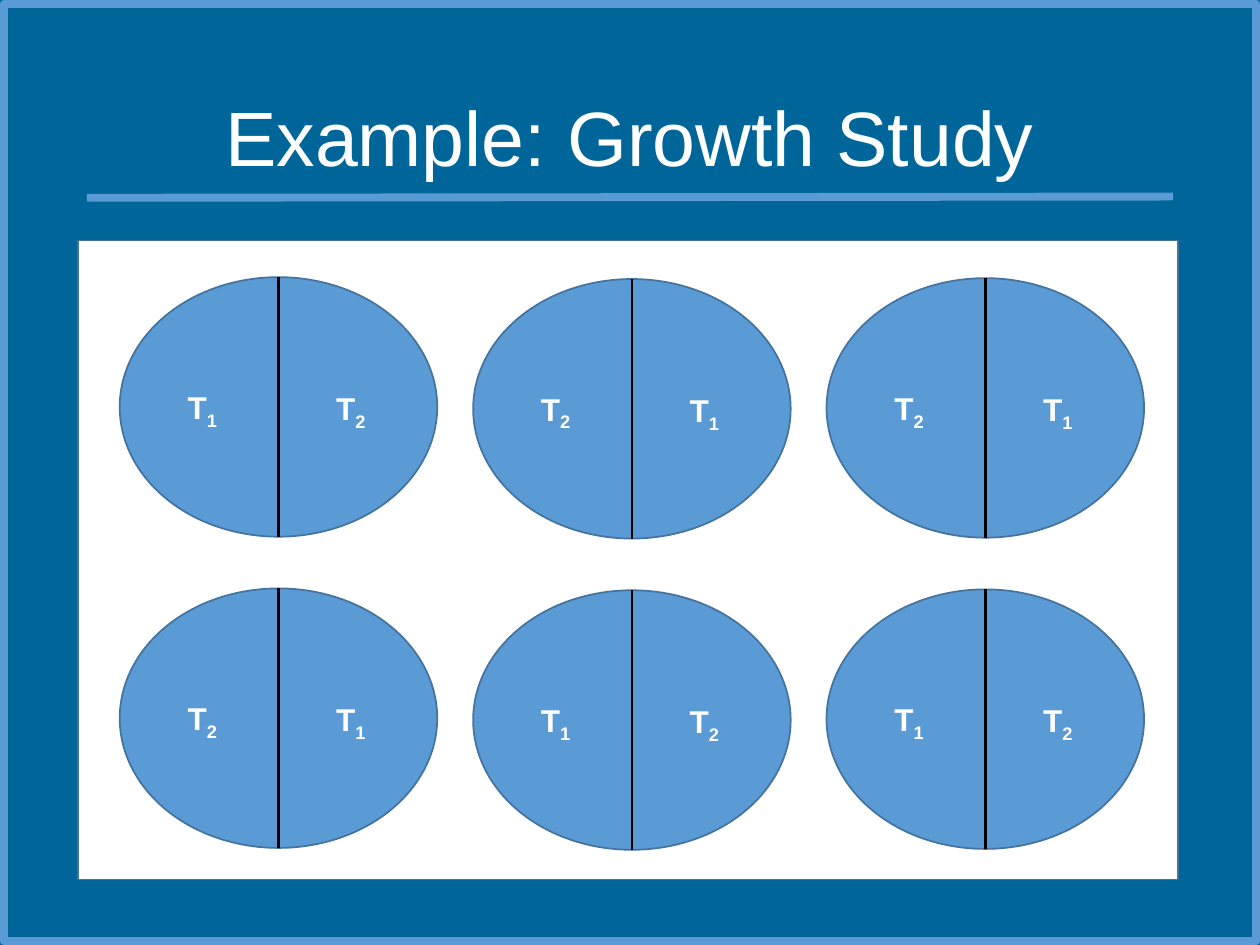
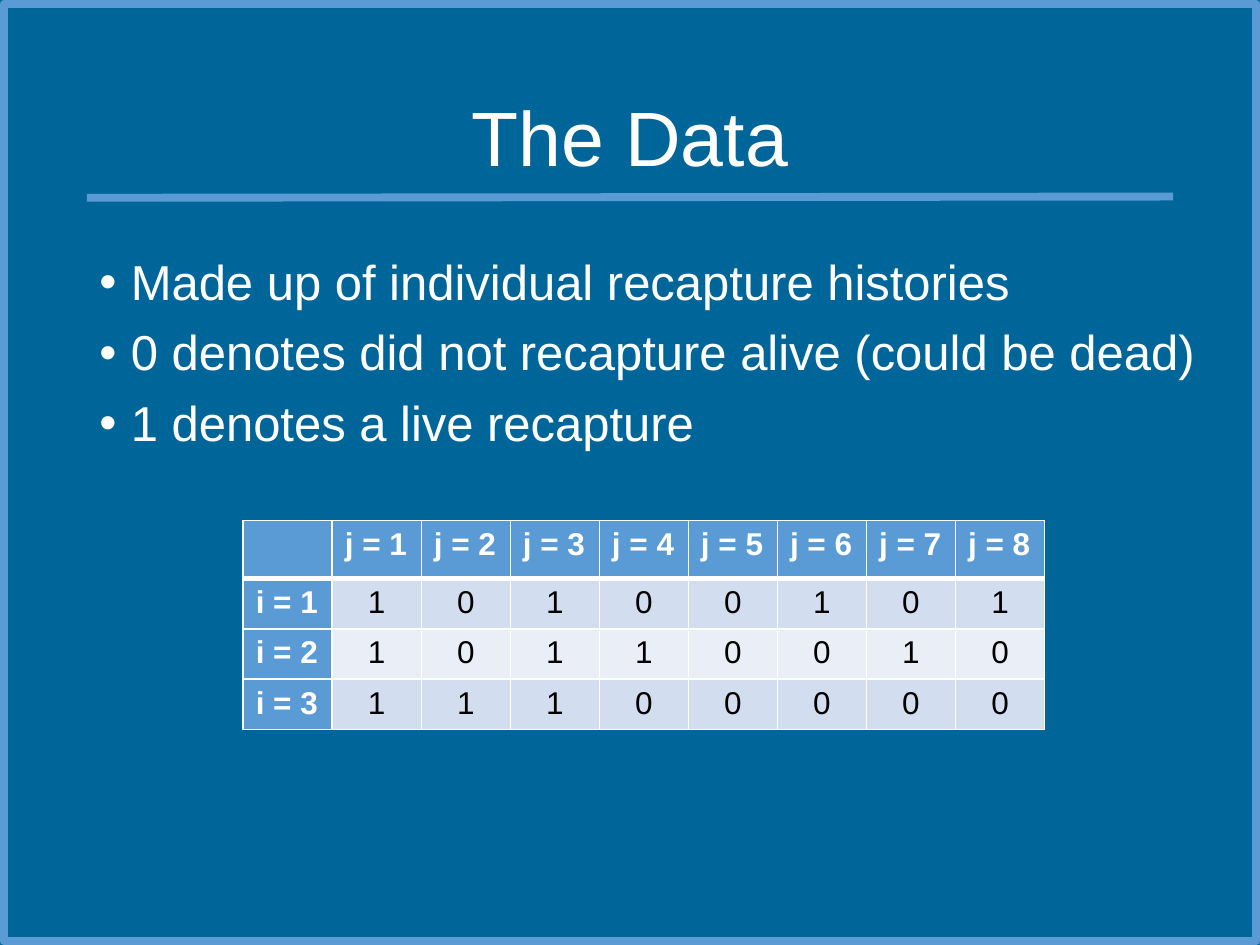
from dataclasses import dataclass

from lxml.etree import SubElement
from pptx import Presentation
from pptx.dml.color import RGBColor
from pptx.enum.shapes import MSO_CONNECTOR, MSO_SHAPE
from pptx.enum.text import MSO_ANCHOR, MSO_AUTO_SIZE, PP_ALIGN
from pptx.oxml.ns import qn
from pptx.util import Emu, Inches, Pt

COLORS = {
    "page": "006699",
    "accent": "5B9BD5",
    "outline": "43739E",
    "white": "FFFFFF",
    "black": "000000",
    "band_dark": "D2DEEF",
    "band_light": "EAEFF7",
}
FONT = "Arial"

# The slide is a grid of 100 columns by 75 rows of square units
COLUMNS, ROWS = 100, 75
WIDTH, HEIGHT = Inches(10), Inches(7.5)

# Plates on the growth study slide
PLATE_LEFT, PLATE_TOP = 9.5, 22
PLATE_WIDTH, PLATE_HEIGHT = 25.2, 20.6
PLATE_STEP_X, PLATE_STEP_Y = 28.05, 24.7
PLATE_DROPS = (0, 0.15, 0.08)
LABEL_OFFSETS = ((4.4, 8.28), (16.2, 8.38))
TREATMENTS = (
    ("12", "21", "21"),
    ("21", "12", "12"),
)

# Recapture histories on the data slide
POINTS = (
    "Made up of individual recapture histories",
    "0 denotes did not recapture alive (could be dead)",
    "1 denotes a live recapture",
)
HISTORIES = ("10100101", "10110010", "11100000")
TABLE_COLUMN = 7.07
TABLE_ROWS = (4.6, 3.9, 3.8, 3.8)


def columns(count: float) -> Emu:
    return Emu(round(WIDTH * count / COLUMNS))


def rows(count: float) -> Emu:
    return Emu(round(HEIGHT * count / ROWS))


def color(name: str) -> RGBColor:
    return RGBColor.from_string(COLORS[name])


@dataclass(frozen=True)
class Area:
    left: float
    top: float
    width: float
    height: float

    def lengths(self) -> tuple:
        return (columns(self.left), rows(self.top),
                columns(self.width), rows(self.height))


@dataclass(frozen=True)
class Plate:
    area: Area
    treatments: str


# Text
def write(para, text: str, *, size: float = 18, ink: str = "white",
          bold: bool = False, align=None, spacing: float | None = None,
          before: float | None = None, baseline: int = 0) -> None:
    if align is not None:
        para.alignment = align
    if spacing is not None:
        para.line_spacing = spacing
    if before is not None:
        para.space_before = Pt(before)
    span = para.add_run()
    span.text = text
    span.font.name = FONT
    span.font.size = Pt(size)
    span.font.bold = bold
    span.font.color.rgb = color(ink)
    if baseline:
        span._r.get_or_add_rPr().set("baseline", str(baseline * 1000))


def add_bullet(para) -> None:
    properties = para._p.get_or_add_pPr()
    indent = columns(2.5)
    properties.set("marL", str(indent))
    properties.set("indent", str(-indent))
    SubElement(properties, qn("a:buFont"), typeface=FONT)
    SubElement(properties, qn("a:buChar"), char="•")


# Shapes and lines
def add_shape(shapes, kind, area: Area, *, fill: str | None, line: str,
              weight: float) -> None:
    shape = shapes.add_shape(kind, *area.lengths())
    shape.shadow.inherit = False
    if fill:
        shape.fill.solid()
        shape.fill.fore_color.rgb = color(fill)
    else:
        shape.fill.background()
    shape.line.color.rgb = color(line)
    shape.line.width = Pt(weight)


def add_line(shapes, start: tuple, end: tuple, ink: str, weight: float) -> None:
    line = shapes.add_connector(
        MSO_CONNECTOR.STRAIGHT, columns(start[0]), rows(start[1]),
        columns(end[0]), rows(end[1]))
    line.line.color.rgb = color(ink)
    line.line.width = Pt(weight)
    SubElement(line._element.spPr, qn("a:effectLst"))


def add_page(deck, title: str):
    page = deck.slides.add_slide(deck.slide_layouts[6])
    page.background.fill.solid()
    page.background.fill.fore_color.rgb = color("page")
    add_line(page.shapes, (6.9, 15.7), (93.1, 15.6), "accent", 4.5)
    add_shape(page.shapes, MSO_SHAPE.RECTANGLE, Area(0.3, 0.3, 99.4, 74.4),
              fill=None, line="accent", weight=4.5)
    box = page.shapes.add_textbox(*Area(6.9, 4, 86.2, 14.5).lengths())
    box.text_frame.word_wrap = True
    box.text_frame.vertical_anchor = MSO_ANCHOR.MIDDLE
    write(box.text_frame.paragraphs[0], title, size=44,
          align=PP_ALIGN.CENTER, spacing=0.9)
    return page


# Growth study: split plates with a treatment on each half
def draw_plate(page, plate: Plate) -> None:
    group = page.shapes.add_group_shape()
    area = plate.area
    add_shape(group.shapes, MSO_SHAPE.OVAL, area,
              fill="accent", line="outline", weight=1)
    middle = area.left + area.width / 2
    add_line(group.shapes, (middle, area.top + area.height),
             (middle, area.top), "black", 1.5)
    for treatment, (across, down) in zip(plate.treatments, LABEL_OFFSETS):
        label = Area(area.left + across, area.top + down, 4.5, 4)
        box = group.shapes.add_textbox(*label.lengths())
        box.text_frame.word_wrap = False
        box.text_frame.auto_size = MSO_AUTO_SIZE.SHAPE_TO_FIT_TEXT
        para = box.text_frame.paragraphs[0]
        write(para, "T", bold=True)
        write(para, treatment, bold=True, baseline=-25)


def build_growth_study(deck) -> None:
    page = add_page(deck, "Example: Growth Study")
    add_shape(page.shapes, MSO_SHAPE.RECTANGLE, Area(6.2, 19.1, 87.3, 50.7),
              fill="white", line="outline", weight=1)
    for row, pairs in enumerate(TREATMENTS):
        for column, pair in enumerate(pairs):
            area = Area(PLATE_LEFT + column * PLATE_STEP_X,
                        PLATE_TOP + row * PLATE_STEP_Y + PLATE_DROPS[column],
                        PLATE_WIDTH, PLATE_HEIGHT)
            draw_plate(page, Plate(area, pair))


# Data: bullet points and the table of histories
def add_borders(cell, top: float, bottom: float) -> None:
    properties = cell._tc.get_or_add_tcPr()
    for side, weight in (("L", 1), ("R", 1), ("T", top), ("B", bottom)):
        border = SubElement(properties, qn(f"a:ln{side}"), w=str(Pt(weight)))
        fill = SubElement(border, qn("a:solidFill"))
        SubElement(fill, qn("a:srgbClr"), val=COLORS["white"])


def add_histories(page) -> None:
    header = ["", *(f"j = {j}" for j in range(1, len(HISTORIES[0]) + 1))]
    body = [[f"i = {i}", *history] for i, history in enumerate(HISTORIES, 1)]
    area = Area(19.3, 41.3, TABLE_COLUMN * len(header), sum(TABLE_ROWS))
    table = page.shapes.add_table(
        len(TABLE_ROWS), len(header), *area.lengths()).table
    for column in table.columns:
        column.width = columns(TABLE_COLUMN)
    for row, (height, values) in enumerate(zip(TABLE_ROWS, [header, *body])):
        table.rows[row].height = rows(height)
        band = "band_dark" if row % 2 else "band_light"
        for column, value in enumerate(values):
            cell = table.cell(row, column)
            heading = row == 0 or column == 0
            add_borders(cell, top=3 if row == 1 else 1,
                        bottom=3 if row == 0 else 1)
            cell.fill.solid()
            cell.fill.fore_color.rgb = color("accent" if heading else band)
            if value:
                write(cell.text_frame.paragraphs[0], value, bold=heading,
                      ink="white" if heading else "black",
                      align=None if heading else PP_ALIGN.CENTER)


def build_data(deck) -> None:
    page = add_page(deck, "The Data")
    box = page.shapes.add_textbox(*Area(6.9, 20, 90.3, 47.6).lengths())
    frame = box.text_frame
    frame.word_wrap = True
    for index, point in enumerate(POINTS):
        para = frame.add_paragraph() if index else frame.paragraphs[0]
        write(para, point, size=28, spacing=0.9, before=10)
        add_bullet(para)
    add_histories(page)


def main() -> None:
    deck = Presentation()
    deck.slide_width, deck.slide_height = WIDTH, HEIGHT
    build_growth_study(deck)
    build_data(deck)
    deck.save("out.pptx")


if __name__ == "__main__":
    main()
